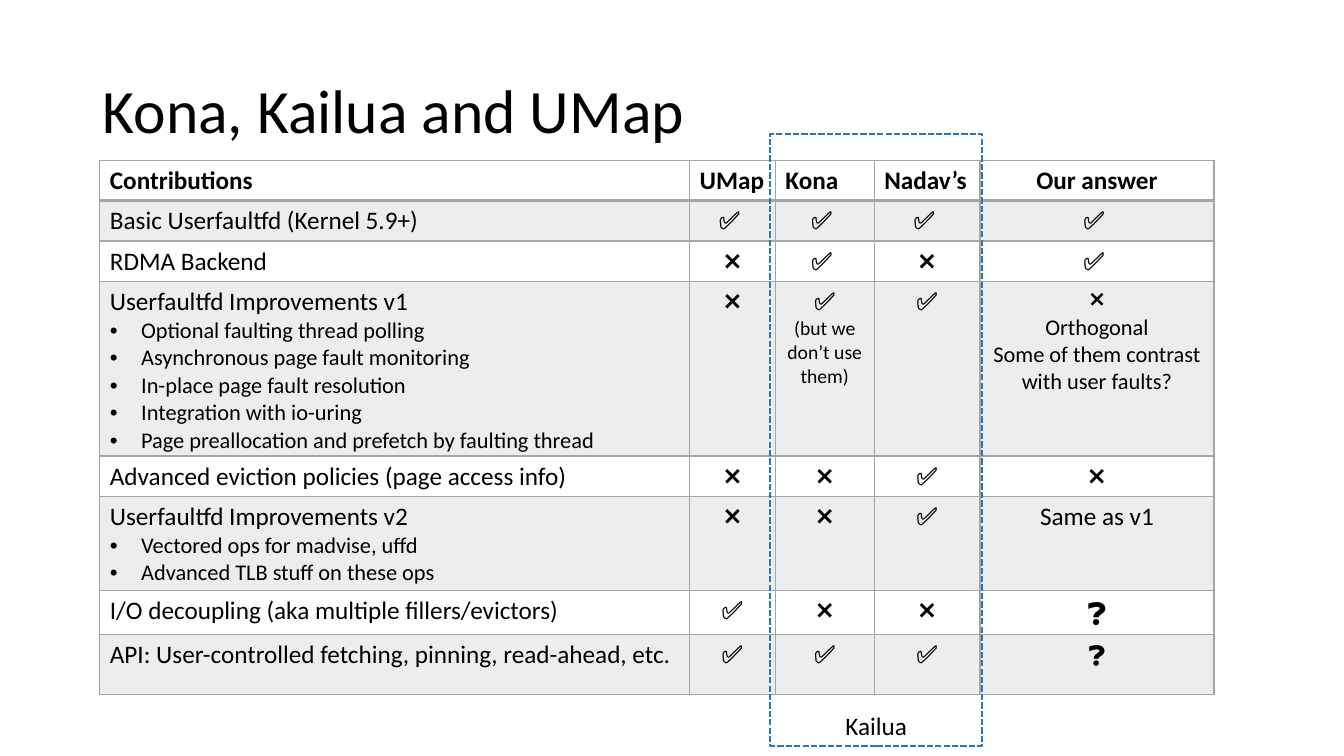
from dataclasses import dataclass

from lxml.etree import SubElement
from pptx import Presentation
from pptx.dml.color import RGBColor
from pptx.enum.dml import MSO_LINE
from pptx.enum.shapes import MSO_SHAPE
from pptx.enum.text import MSO_ANCHOR, PP_ALIGN
from pptx.oxml.ns import qn
from pptx.util import Inches, Pt

FONT = "Calibri"
COLORS = {"text": "000000", "grid": "A5A5A5", "frame": "2E75B6"}
YES, NO, ASK = "✅", "❌", "❓"


@dataclass
class Line:
    text: str
    size: int = 18
    bold: bool = False
    centered: bool = False
    bullet: bool = False
    spacing: float = 1.0


@dataclass
class Row:
    height: float
    cells: list[list[Line]]


def topic(heading: str, *points: str) -> list[Line]:
    return [Line(heading)] + [Line(point, 16, bullet=True) for point in points]


def mark(text: str, size: int = 18) -> list[Line]:
    return [Line(text, size, centered=True)]


def marks(*texts: str) -> list[list[Line]]:
    return [mark(text) for text in texts]


def write(frame, lines: list[Line]) -> None:
    frame.word_wrap = True
    for index, line in enumerate(lines):
        para = frame.add_paragraph() if index else frame.paragraphs[0]
        para.alignment = PP_ALIGN.CENTER if line.centered else PP_ALIGN.LEFT
        para.line_spacing = line.spacing
        if line.bullet:
            properties = para._p.get_or_add_pPr()
            properties.set("marL", str(Inches(0.31)))
            properties.set("indent", str(Inches(-0.31)))
            SubElement(properties, qn("a:buFont"), typeface="Arial")
            SubElement(properties, qn("a:buChar"), char="•")
        span = para.add_run()
        span.text = line.text
        span.font.name = FONT
        span.font.size = Pt(line.size)
        span.font.bold = line.bold
        span.font.color.rgb = RGBColor.from_string(COLORS["text"])


def style_cell(cell, header: bool, below_header: bool, shaded: bool) -> None:
    properties = cell._tc.get_or_add_tcPr()
    for side in ("L", "R", "T", "B"):
        thick = (header and side == "B") or (below_header and side == "T")
        border = SubElement(properties, qn(f"a:ln{side}"), w=str(Pt(2 if thick else 1)))
        paint = SubElement(border, qn("a:solidFill"))
        SubElement(paint, qn("a:srgbClr"), val=COLORS["grid"])
    if not shaded:
        cell.fill.background()
        return
    cell.fill.solid()
    cell.fill.fore_color.rgb = RGBColor.from_string(COLORS["grid"])
    color = properties.find(qn("a:solidFill")).find(qn("a:srgbClr"))
    SubElement(color, qn("a:alpha"), val="20000")


def add_comparison(page, rows: list[Row], widths: list[float]) -> None:
    height = sum(row.height for row in rows)
    table = page.shapes.add_table(
        len(rows), len(widths), Inches(0.99), Inches(1.59),
        Inches(sum(widths)), Inches(height)).table
    table.first_row = table.horz_banding = False
    for column, width in zip(table.columns, widths):
        column.width = Inches(width)
    for number, row in enumerate(rows):
        table.rows[number].height = Inches(row.height)
        for position, lines in enumerate(row.cells):
            cell = table.cell(number, position)
            style_cell(cell, number == 0, number == 1, number % 2 == 1)
            write(cell.text_frame, lines)


WIDTHS = [5.85, 0.85, 0.98, 1.05, 2.32]
HEADINGS = ["Contributions", "UMap", "Kona", "Nadav’s", "Our answer"]
ROWS = [
    Row(0.38, [[Line(name, bold=True, centered=name == "Our answer")]
               for name in HEADINGS]),
    Row(0.38, [topic("Basic Userfaultfd (Kernel 5.9+)"), *marks(*[YES + " "] * 4)]),
    Row(0.38, [topic("RDMA Backend"), *marks(NO, YES + " ", NO, YES + " ")]),
    Row(1.63, [
        topic("Userfaultfd Improvements v1",
              "Optional faulting thread polling",
              "Asynchronous page fault monitoring",
              "In-place page fault resolution",
              "Integration with io-uring",
              "Page preallocation and prefetch by faulting thread"),
        mark(NO),
        mark(YES) + mark("(but we don’t use them)", 14),
        mark(YES),
        mark(NO, 16) + mark("Orthogonal", 16)
        + mark("Some of them contrast with user faults?", 16)]),
    Row(0.38, [topic("Advanced eviction policies (page access info)"),
               *marks(NO, NO, YES, NO)]),
    Row(0.88, [
        topic("Userfaultfd Improvements v2",
              "Vectored ops for madvise, uffd",
              "Advanced TLB stuff on these ops"),
        *marks(NO, NO, YES, "Same as v1")]),
    Row(0.38, [topic("I/O decoupling (aka multiple fillers/evictors)"),
               *marks(YES, NO, NO), mark(ASK, 20)]),
    Row(0.6, [topic("API: User-controlled fetching, pinning, read-ahead, etc."),
              *marks(YES, YES, YES, ASK)]),
]

deck = Presentation()
deck.slide_width, deck.slide_height = Inches(13.33), Inches(7.5)
page = deck.slides.add_slide(deck.slide_layouts[6])

# Title
title = page.shapes.add_textbox(Inches(0.92), Inches(0.4), Inches(11.5), Inches(1.45))
title.text_frame.vertical_anchor = MSO_ANCHOR.MIDDLE
write(title.text_frame, [Line("Kona, Kailua and UMap", 44, spacing=0.9)])

# Comparison table
add_comparison(page, ROWS, WIDTHS)

# Dashed frame around the Kailua columns
box = page.shapes.add_shape(
    MSO_SHAPE.RECTANGLE, Inches(7.64), Inches(1.33), Inches(2.1), Inches(6.07))
box.shadow.inherit = False
box.fill.background()
box.line.color.rgb = RGBColor.from_string(COLORS["frame"])
box.line.width = Pt(1.5)
box.line.dash_style = MSO_LINE.SQUARE_DOT
box.text_frame.vertical_anchor = MSO_ANCHOR.BOTTOM
write(box.text_frame, mark("Kailua"))

deck.save("out.pptx")
